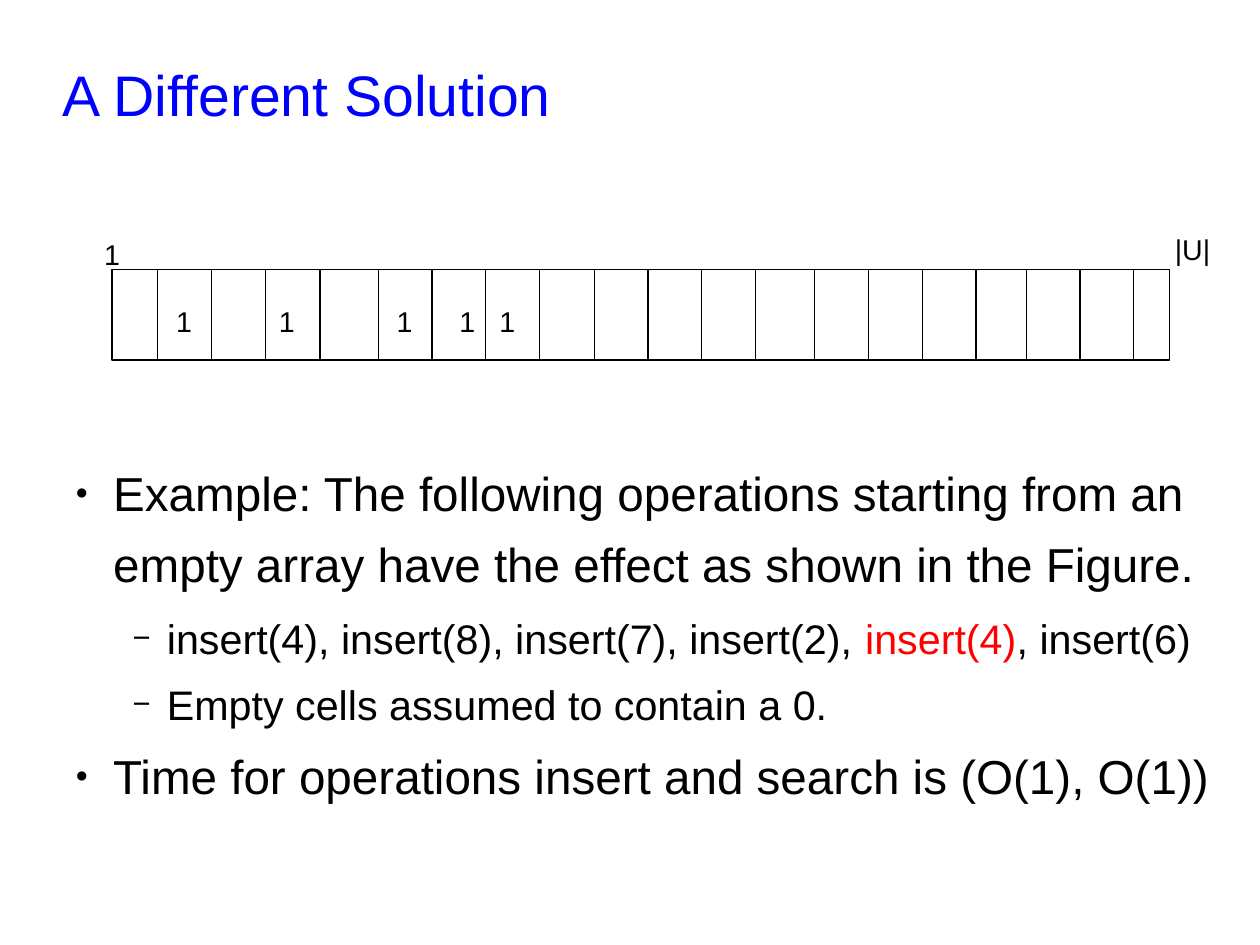
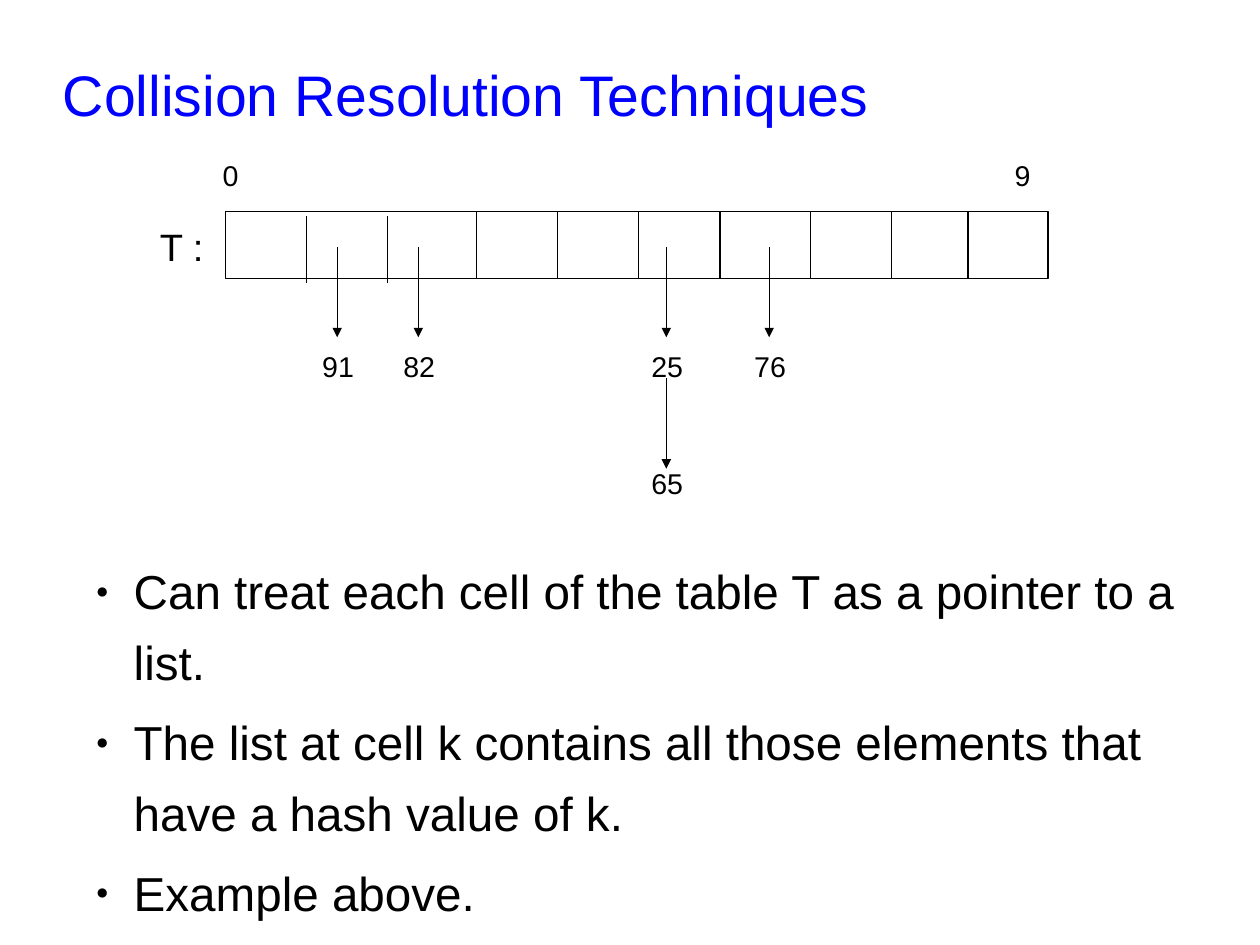
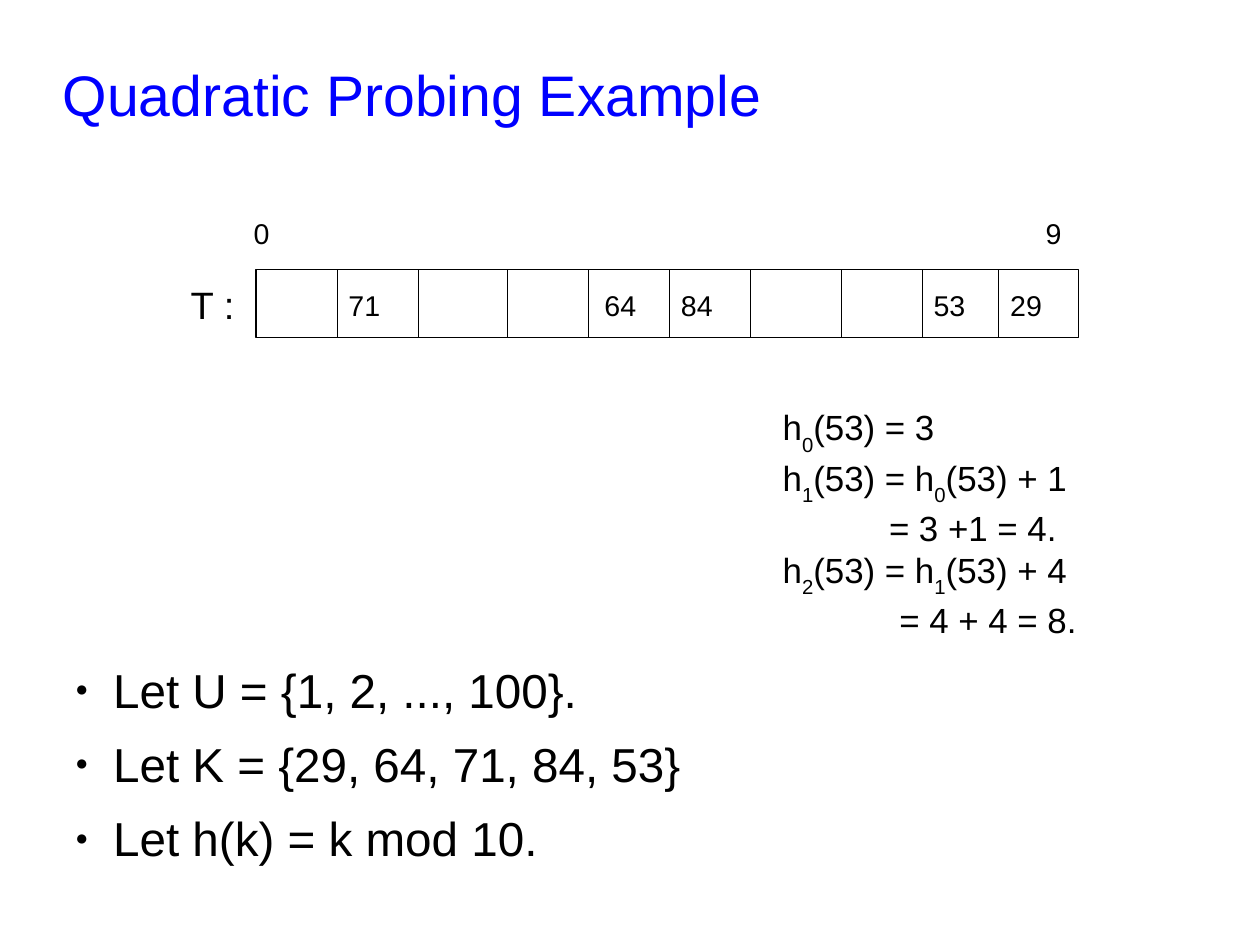
from dataclasses import dataclass, replace
from itertools import accumulate
from typing import NamedTuple

from lxml import etree
from pptx import Presentation
from pptx.dml.color import RGBColor
from pptx.enum.shapes import MSO_CONNECTOR, MSO_SHAPE
from pptx.enum.text import MSO_ANCHOR
from pptx.oxml.ns import qn
from pptx.shapes.connector import Connector
from pptx.slide import Slide
from pptx.util import Emu, Pt

RECTANGLE = MSO_SHAPE.RECTANGLE
STRAIGHT = MSO_CONNECTOR.STRAIGHT
TOP, MIDDLE = MSO_ANCHOR.TOP, MSO_ANCHOR.MIDDLE

BLACK = RGBColor(0x00, 0x00, 0x00)
BLUE = RGBColor(0x00, 0x00, 0xFF)
RED = RGBColor(0xFF, 0x00, 0x00)

FONT = "Arial"
EMU_PER_PX = 9144  # 100 px to the inch
SLIDE_WIDTH = Emu(10080625)  # 28 by 21 cm page
SLIDE_HEIGHT = Emu(7559675)
LINE_WIDTH = Pt(0.75)
ARROW_LENGTH = 79


class Box(NamedTuple):
    left: int
    top: int
    width: int
    height: int


class Insets(NamedTuple):
    across: int
    down: int


class Run(NamedTuple):
    text: str
    color: RGBColor | None = None
    subscript: bool = False


@dataclass(frozen=True)
class Style:
    size: int
    color: RGBColor = BLACK
    line_spacing: float = 1.24
    space_after: float = 0
    left: int = 0
    hang: int = 0
    bullet: str = ""
    bullet_percent: int = 100


class Line(NamedTuple):
    style: Style
    runs: tuple[Run, ...]


class Entry(NamedTuple):
    cell: int
    text: str
    shift: int = 0


@dataclass(frozen=True)
class CellRow:
    box: Box
    cell_widths: tuple[int, ...]
    lowered: tuple[int, ...] = ()  # dividers that sit slightly lower

    @property
    def edges(self) -> list[int]:
        return list(accumulate(self.cell_widths, initial=self.box.left))


# Shared styles
TITLE = Style(36, BLUE)
BULLET = Style(30, space_after=5.8, left=44, hang=33, bullet="●", bullet_percent=45)
TIGHT_BULLET = replace(BULLET, line_spacing=1.14)
DASH = Style(26, space_after=2.9, left=91, hang=30, bullet="−", bullet_percent=75)
LABEL = Style(18)
TABLE_NAME = Style(24)
FORMULA = Style(22, line_spacing=1.0)

TITLE_BOX = Box(55, 38, 990, 74)
NO_INSETS = Insets(0, 0)
SMALL_INSETS = Insets(10, 5)
LARGE_INSETS = Insets(12, 7)

# Cell widths of the bit array and of the ten-cell hash table
BIT_WIDTHS = (40, 47, 47, 48, 51, 47, 47, 47, 48, 47,
              47, 47, 52, 47, 47, 47, 44, 47, 47, 31)
HASH_WIDTHS = (71, 71, 78, 71, 71, 71, 79, 71, 67, 70)


def px(value: int) -> Emu:
    return Emu(value * EMU_PER_PX)


def line_of(style: Style, *parts: str | Run) -> Line:
    return Line(style, tuple(part if isinstance(part, Run) else Run(part) for part in parts))


def sub(digit: str) -> Run:
    return Run(digit, subscript=True)


def add_text(slide: Slide, box: Box, lines: list[Line], insets: Insets = NO_INSETS,
             anchor: MSO_ANCHOR = TOP) -> None:
    frame = slide.shapes.add_textbox(*map(px, box)).text_frame
    frame_format = {
        "word_wrap": True, "vertical_anchor": anchor,
        "margin_left": px(insets.across), "margin_right": px(insets.across),
        "margin_top": px(insets.down), "margin_bottom": px(insets.down),
    }
    for name, value in frame_format.items():
        setattr(frame, name, value)
    for index, (style, runs) in enumerate(lines):
        paragraph = frame.add_paragraph() if index else frame.paragraphs[0]
        properties = paragraph._p.get_or_add_pPr()
        properties.set("marL", str(px(style.left)))
        properties.set("indent", str(px(-style.hang)))
        if style.bullet:
            size = etree.SubElement(properties, qn("a:buSzPct"))
            size.set("val", str(style.bullet_percent * 1000))
            etree.SubElement(properties, qn("a:buFont")).set("typeface", FONT)
            etree.SubElement(properties, qn("a:buChar")).set("char", style.bullet)
        paragraph_format = {"line_spacing": style.line_spacing,
                            "space_after": Pt(style.space_after)}
        for name, value in paragraph_format.items():
            setattr(paragraph, name, value)
        for part in runs:
            run = paragraph.add_run()
            run.text = part.text
            for name, value in {"name": FONT, "size": Pt(style.size)}.items():
                setattr(run.font, name, value)
            run.font.color.rgb = part.color or style.color
            if part.subscript:
                run._r.get_or_add_rPr().set("baseline", "-33000")


def add_label(slide: Slide, text: str, box: Box, style: Style = LABEL,
              insets: Insets = SMALL_INSETS) -> None:
    add_text(slide, box, [line_of(style, text)], insets)


def add_vertical(slide: Slide, left: int, top: int, length: int) -> Connector:
    connector = slide.shapes.add_connector(
        STRAIGHT, *map(px, (left, top, left, top + length)))
    connector.line.color.rgb = BLACK
    connector.line.width = LINE_WIDTH
    etree.SubElement(connector._element.spPr, qn("a:effectLst"))
    return connector


def add_arrow(slide: Slide, left: int, top: int) -> None:
    connector = add_vertical(slide, left, top, ARROW_LENGTH)
    etree.SubElement(connector.line._get_or_add_ln(), qn("a:tailEnd")).set("type", "triangle")


def add_cell_row(slide: Slide, row: CellRow) -> None:
    outline = slide.shapes.add_shape(RECTANGLE, *map(px, row.box))
    outline.shadow.inherit = False
    outline.fill.background()
    outline.line.color.rgb = BLACK
    outline.line.width = LINE_WIDTH
    for number, edge in enumerate(row.edges[1:-1], start=1):
        drop = 4 if number in row.lowered else 0
        add_vertical(slide, edge, row.box.top + drop, row.box.height)


def add_hash_table(slide: Slide, row: CellRow) -> None:
    """Cell row with its name on the left and its first and last index above."""
    left, top, width, _ = row.box
    add_cell_row(slide, row)
    add_label(slide, "T :", Box(left - 67, top - 4, 71, 59), TABLE_NAME)
    add_label(slide, "0", Box(left - 12, top - 59, 39, 47))
    add_label(slide, "9", Box(left + width - 39, top - 59, 39, 47))


def add_titled_slide(presentation: Presentation, title: str) -> Slide:
    slide = presentation.slides.add_slide(presentation.slide_layouts[6])
    add_text(slide, TITLE_BOX, [line_of(TITLE, title)], anchor=MIDDLE)
    return slide


def build_different_solution(presentation: Presentation) -> None:
    slide = add_titled_slide(presentation, "A Different Solution")
    add_text(slide, Box(55, 394, 1008, 334), [
        line_of(BULLET, "Example: The following operations starting from an empty array "
                        "have the effect as shown in the Figure."),
        line_of(DASH, "insert(4), insert(8), insert(7), insert(2), ",
                Run("insert(4)", RED), ", insert(6)"),
        line_of(DASH, "Empty cells assumed to contain a 0."),
        line_of(BULLET, "Time for operations insert and search is (O(1), O(1))"),
    ])
    # Bit array with its bounds and the bits that are set
    row = CellRow(Box(98, 236, 925, 79), BIT_WIDTHS)
    add_cell_row(slide, row)
    add_label(slide, "1", Box(79, 193, 39, 51), insets=LARGE_INSETS)
    add_label(slide, "|U|", Box(1016, 189, 67, 51), insets=LARGE_INSETS)
    for entry in (Entry(1, "1", 4), Entry(3, "1"), Entry(5, "1", 4),
                  Entry(6, "1", 12), Entry(7, "1")):
        box = Box(row.edges[entry.cell] + entry.shift, row.box.top + 16, 39, 51)
        add_label(slide, entry.text, box, insets=LARGE_INSETS)


def build_collision_resolution(presentation: Presentation) -> None:
    slide = add_titled_slide(presentation, "Collision Resolution Techniques")
    add_text(slide, Box(73, 480, 990, 346), [
        line_of(BULLET, "Can treat each cell of the table T as a pointer to a list."),
        line_of(BULLET, "The list at cell k contains all those elements that "
                        "have a hash value of k."),
        line_of(BULLET, "Example above."),
    ])
    row = CellRow(Box(197, 185, 720, 59), HASH_WIDTHS, lowered=(1, 2))
    add_hash_table(slide, row)
    # Chains: each arrow leads to the next element of the list
    arrow_tops, label_tops = (216, 331), (293, 396)
    chains = ((Entry(1, "91", 27),), (Entry(2, "82", 27),),
              (Entry(5, "25", 24), Entry(5, "65", 24)), (Entry(6, "76", 43),))
    for chain in chains:
        for entry, arrow_top, label_top in zip(chain, arrow_tops, label_tops):
            left = row.edges[entry.cell] + entry.shift
            add_arrow(slide, left, arrow_top)
            add_label(slide, entry.text, Box(left - 23, label_top, 71, 47))


def build_quadratic_probing(presentation: Presentation) -> None:
    slide = add_titled_slide(presentation, "Quadratic Probing Example")
    add_text(slide, Box(55, 571, 990, 202), [
        line_of(TIGHT_BULLET, text) for text in (
            "Let U = {1, 2, ..., 100}.",
            "Let K = {29, 64, 71, 84, 53}",
            "Let h(k) = k mod 10.",
        )
    ])
    row = CellRow(Box(224, 236, 720, 59), HASH_WIDTHS)
    add_hash_table(slide, row)
    for entry in (Entry(1, "71"), Entry(4, "64", 4), Entry(5, "84"),
                  Entry(8, "53"), Entry(9, "29")):
        left = row.edges[entry.cell] + entry.shift
        add_label(slide, entry.text, Box(left, row.box.top + 4, 71, 47))
    # Probe sequence for key 53
    add_text(slide, Box(675, 350, 325, 224), [
        line_of(FORMULA, "h", sub("0"), "(53) = 3"),
        line_of(FORMULA, "h", sub("1"), "(53) = h", sub("0"), "(53) + 1"),
        line_of(replace(FORMULA, left=93), "= 3 +1 = 4."),
        line_of(FORMULA, "h", sub("2"), "(53) = h", sub("1"), "(53) + 4"),
        line_of(replace(FORMULA, left=102), "= 4 + 4 = 8."),
    ], SMALL_INSETS)


def main() -> None:
    presentation = Presentation()
    presentation.slide_width = SLIDE_WIDTH
    presentation.slide_height = SLIDE_HEIGHT
    build_different_solution(presentation)
    build_collision_resolution(presentation)
    build_quadratic_probing(presentation)
    presentation.save("out.pptx")


if __name__ == "__main__":
    main()
